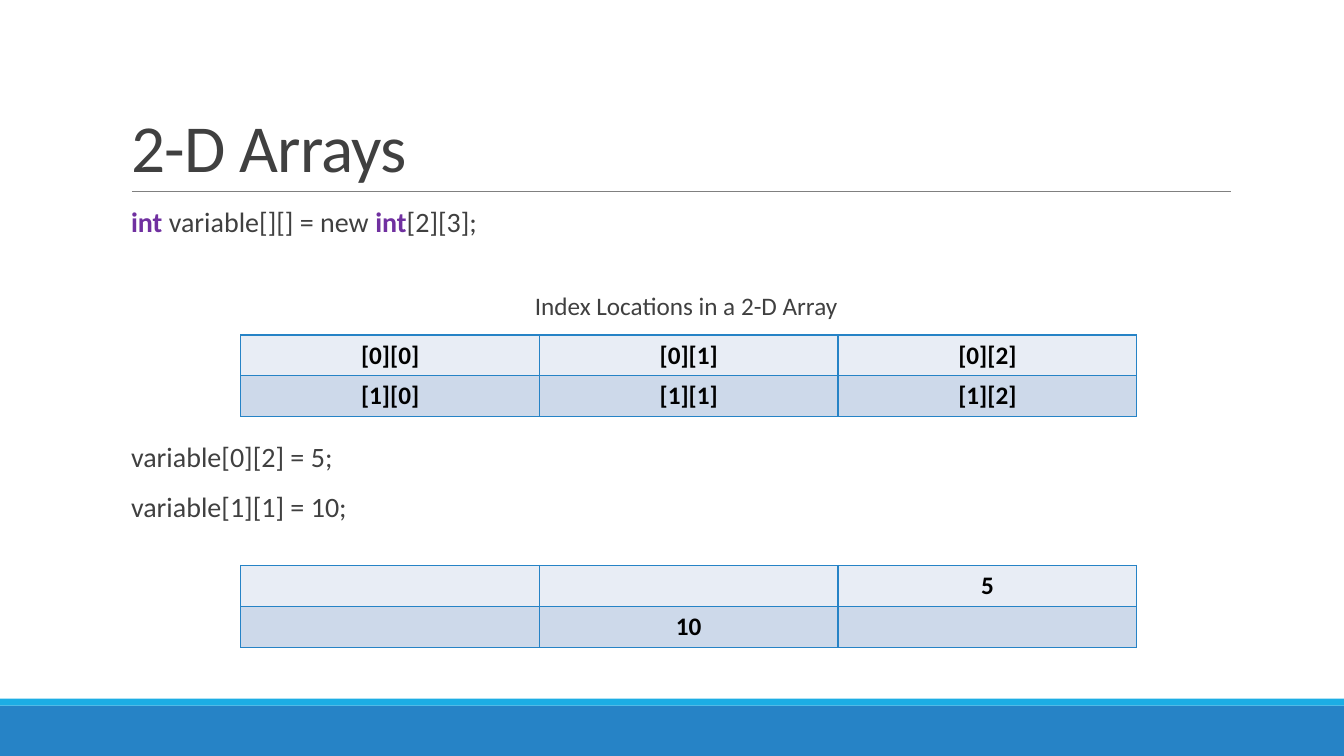
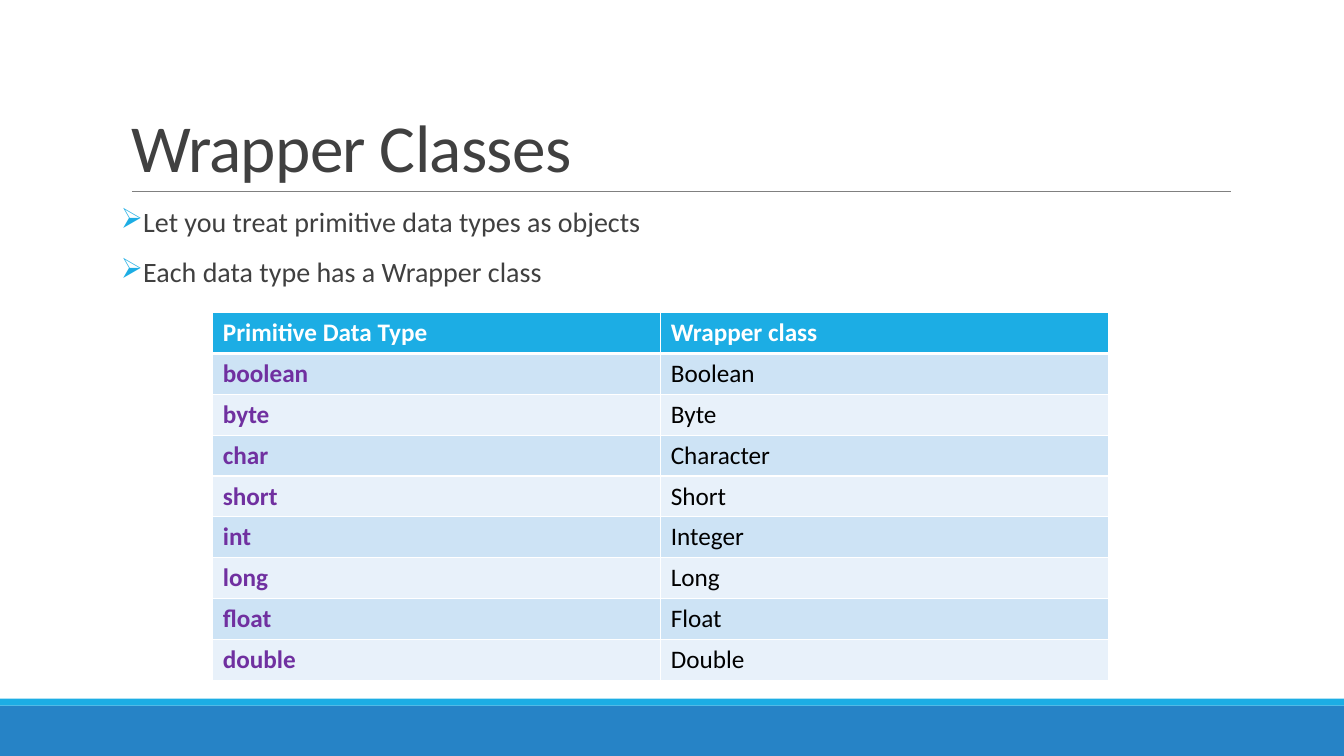
from lxml.etree import SubElement
from pptx import Presentation
from pptx.dml.color import RGBColor
from pptx.enum.shapes import MSO_CONNECTOR, MSO_SHAPE
from pptx.enum.text import MSO_ANCHOR, MSO_AUTO_SIZE, PP_ALIGN
from pptx.oxml import parse_xml
from pptx.oxml.ns import nsdecls, qn
from pptx.util import Pt

# Shared style
FONT = "Calibri"
WHITE, BLACK, GRAY, RULE = "FFFFFF", "000000", "404040", "808080"
BLUE, CYAN, PURPLE = "2683C6", "1CADE4", "7030A0"
SLIDE_WIDTH, SLIDE_HEIGHT = 960, 540
BODY_LEFT, BODY_TOP, BODY_WIDTH = 86.4, 145.4, 792
CODE_LEFT = 93.6
TABLE_WIDTH, ROW_HEIGHT = 640, 29.2
TITLE_ONLY = 5


def rgb(color):
    return RGBColor.from_string(color)


def add_text(paragraph, text, size=20, color=GRAY, bold=False, tracking=None):
    run = paragraph.add_run()
    run.text = text
    run.font.name = FONT
    run.font.size = Pt(size)
    run.font.bold = bold
    run.font.color.rgb = rgb(color)
    if tracking is not None:
        run._r.get_or_add_rPr().set("spc", str(round(tracking * 100)))


def add_bullet(paragraph, character, color):
    properties = paragraph._p.get_or_add_pPr()
    properties.set("marL", str(Pt(7.2)))
    properties.set("indent", str(Pt(-7.2)))
    bullet_color = SubElement(properties, qn("a:buClr"))
    SubElement(bullet_color, qn("a:srgbClr")).set("val", color)
    SubElement(properties, qn("a:buChar")).set("char", character)


def add_paragraphs(slide, lines, left, top, width, height, size=20,
                   align=PP_ALIGN.LEFT, bullet=None):
    """Each line is a list of (text, format) runs."""
    shape = slide.shapes.add_textbox(Pt(left), Pt(top), Pt(width), Pt(height))
    frame = shape.text_frame
    frame.word_wrap = True
    frame.margin_left = frame.margin_right = 0
    for index, runs in enumerate(lines):
        paragraph = frame.add_paragraph() if index else frame.paragraphs[0]
        paragraph.alignment = align
        paragraph.line_spacing = 0.9
        paragraph.space_before = Pt(12 if index else 0)
        paragraph.space_after = Pt(2)
        if bullet:
            add_bullet(paragraph, bullet, CYAN)
        for text, style in runs:
            add_text(paragraph, text, size=size, **style)


def add_band(slide, top, height, color):
    shape = slide.shapes.add_shape(
        MSO_SHAPE.RECTANGLE, 0, Pt(top), Pt(SLIDE_WIDTH), Pt(height))
    shape.shadow.inherit = False
    shape.fill.solid()
    shape.fill.fore_color.rgb = rgb(color)
    shape.line.fill.background()


def add_rule(slide, left, right, y):
    connector = slide.shapes.add_connector(
        MSO_CONNECTOR.STRAIGHT, Pt(left), Pt(y), Pt(right), Pt(y))
    connector.line.color.rgb = rgb(RULE)
    connector.line.width = Pt(0.5)
    SubElement(connector._element.spPr, qn("a:effectLst"))


def add_slide(presentation, title):
    slide = presentation.slides.add_slide(
        presentation.slide_layouts[TITLE_ONLY])
    # Footer bands and title rule
    add_band(slide, 504, 36, BLUE)
    add_band(slide, 499, 5, CYAN)
    add_rule(slide, 94.3, 879, 136.8)
    # Title
    shape = slide.shapes.title
    shape.left, shape.top = Pt(BODY_LEFT), Pt(22.3)
    shape.width, shape.height = Pt(BODY_WIDTH), Pt(114.5)
    frame = shape.text_frame
    frame.auto_size = MSO_AUTO_SIZE.NONE
    frame.vertical_anchor = MSO_ANCHOR.BOTTOM
    paragraph = frame.paragraphs[0]
    paragraph.alignment = PP_ALIGN.LEFT
    paragraph.line_spacing = 0.85
    add_text(paragraph, title, size=48, tracking=-0.5)
    return slide


def set_borders(cell, color, top=1, bottom=1):
    properties = cell._tc.get_or_add_tcPr()
    widths = {"lnL": 1, "lnR": 1, "lnT": top, "lnB": bottom}
    for index, (side, width) in enumerate(widths.items()):
        properties.insert(index, parse_xml(
            f'<a:{side} {nsdecls("a")} w="{Pt(width)}"><a:solidFill>'
            f'<a:srgbClr val="{color}"/></a:solidFill></a:{side}>'))


def add_grid(slide, rows, left, top, bands, border, header=False,
             align=PP_ALIGN.LEFT, styles=None):
    """Draw a banded table; styles holds one text format per column."""
    columns = len(rows[0])
    table = slide.shapes.add_table(
        len(rows), columns, Pt(left), Pt(top),
        Pt(TABLE_WIDTH), Pt(ROW_HEIGHT * len(rows))).table
    table.first_row = header
    table.horz_banding = False
    for column in table.columns:
        column.width = Pt(TABLE_WIDTH / columns)
    for row_index, values in enumerate(rows):
        table.rows[row_index].height = Pt(ROW_HEIGHT)
        is_header = header and row_index == 0
        for column_index, value in enumerate(values):
            cell = table.cell(row_index, column_index)
            set_borders(cell, border,
                        top=3 if header and row_index == 1 else 1,
                        bottom=3 if is_header else 1)
            cell.fill.solid()
            cell.fill.fore_color.rgb = rgb(
                CYAN if is_header else bands[row_index % 2])
            style = {"color": BLACK, "bold": True}
            if is_header:
                style["color"] = WHITE
            elif styles:
                style = styles[column_index]
            if value:
                paragraph = cell.text_frame.paragraphs[0]
                paragraph.alignment = align
                add_text(paragraph, value, size=18, **style)


def build_arrays(presentation):
    slide = add_slide(presentation, "2-D Arrays")
    keyword = {"color": PURPLE, "bold": True}
    # Declaration, caption and assignments
    add_paragraphs(
        slide, [[("int ", keyword), ("variable[][] = new ", {}),
                 ("int", keyword), ("[2][3];", {})]],
        CODE_LEFT, BODY_TOP, 780, 32)
    add_paragraphs(
        slide, [[("Index Locations in a 2-D Array", {})]],
        102.2, 206.4, 776, 29, size=18, align=PP_ALIGN.CENTER)
    add_paragraphs(
        slide, [[("variable[0][2] = 5;", {})],
                [("variable[1][1] = 10;", {})]],
        CODE_LEFT, 313.2, 780, 68)
    # Index table and value table
    indexes = [[f"[{row}][{column}]" for column in range(3)]
               for row in range(2)]
    values = [["", "", "5"], ["", "10", ""]]
    for rows, top in ((indexes, 239.3), (values, 403.9)):
        add_grid(slide, rows, 172, top, ("E8EDF5", "CDD9EA"), BLUE,
                 align=PP_ALIGN.CENTER)


def build_wrappers(presentation):
    slide = add_slide(presentation, "Wrapper Classes")
    add_paragraphs(
        slide, [[("Let you treat primitive data types as objects", {})],
                [("Each data type has a Wrapper class", {})]],
        BODY_LEFT, BODY_TOP, BODY_WIDTH, 68, bullet="\u27a2")
    # Type table
    rows = [
        ("Primitive Data Type", "Wrapper class"),
        ("boolean", "Boolean"),
        ("byte", "Byte"),
        ("char", "Character"),
        ("short", "Short"),
        ("int", "Integer"),
        ("long", "Long"),
        ("float", "Float"),
        ("double", "Double"),
    ]
    add_grid(slide, rows, 152, 223.2, ("E8F1FA", "CDE3F5"), WHITE,
             header=True, styles=({"color": PURPLE, "bold": True},
                                  {"color": BLACK}))


def main():
    presentation = Presentation()
    presentation.slide_width = Pt(SLIDE_WIDTH)
    presentation.slide_height = Pt(SLIDE_HEIGHT)
    build_arrays(presentation)
    build_wrappers(presentation)
    presentation.save("out.pptx")


main()
